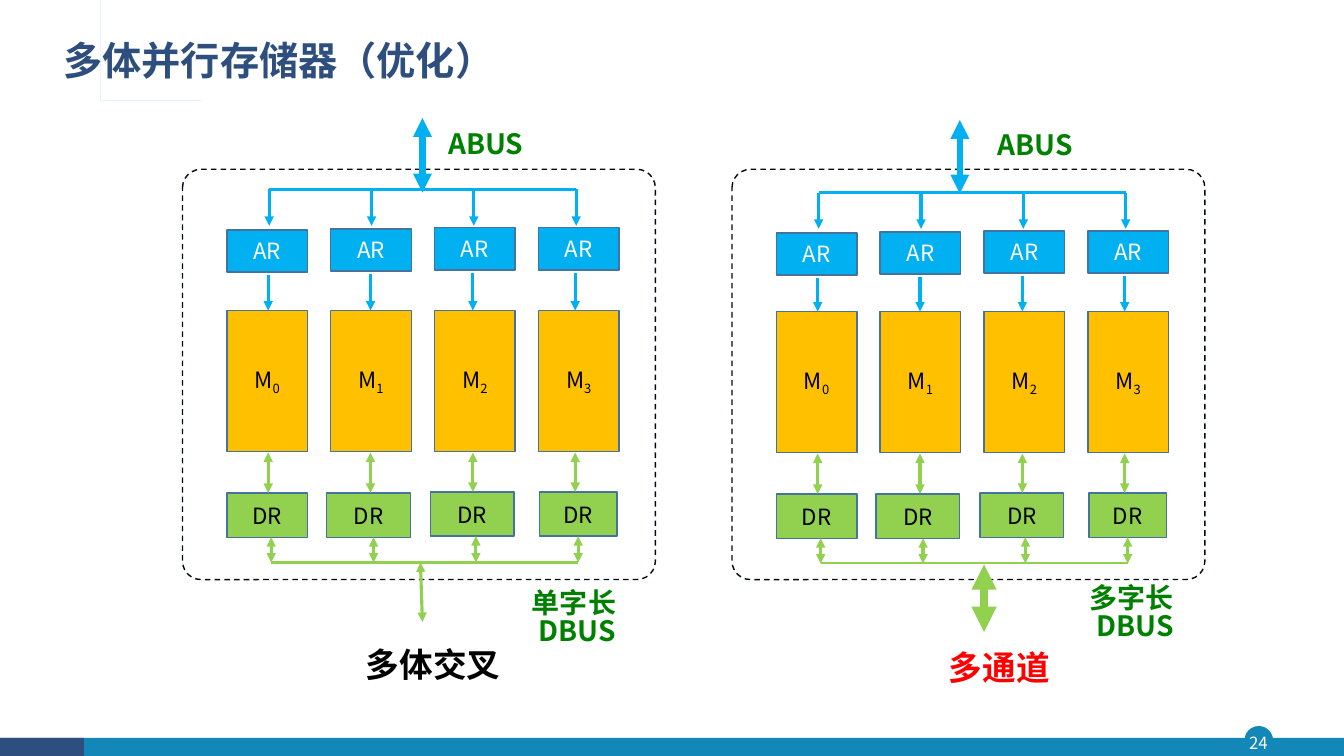
import pptx
import pptx.util
import pptx.dml.color
import pptx.enum.dml
import pptx.enum.shapes
import pptx.enum.text
import pptx.oxml
import pptx.oxml.ns
from dataclasses import dataclass

SHAPE = pptx.enum.shapes.MSO_SHAPE
ALIGN = pptx.enum.text.PP_ALIGN
MIDDLE = pptx.enum.text.MSO_ANCHOR.MIDDLE
TOP = pptx.enum.text.MSO_ANCHOR.TOP
qn = pptx.oxml.ns.qn


@dataclass(frozen=True)
class Theme:
    font: str = "Noto Sans CJK SC"
    navy: str = "2E4E7E"
    teal: str = "1387B7"
    accent: str = "28A9D6"
    address: str = "00B0F0"
    memory: str = "FFC000"
    data: str = "92D050"
    border: str = "43739E"
    frame: str = "000814"
    bus_name: str = "008000"
    highlight: str = "FF0000"
    black: str = "000000"
    white: str = "FFFFFF"
    title_size: int = 28
    caption_size: int = 24
    label_size: int = 20
    box_size: int = 16
    page_size: int = 12


THEME = Theme()
WIDTH, HEIGHT = 13.33, 7.5

# Grid of one memory diagram, measured from the left edge of its frame
BANKS = 4
FIRST_BOX, BOX_PITCH, BOX_WIDTH = 0.44, 1.03, 0.8
LANE_PITCH = 1.015
ADDRESS_LANE, MEMORY_LANE, DATA_LANE = 0.86, 0.85, 0.88
FRAME_TOP, ADDRESS_BUS, AR_TOP, MEMORY_TOP, DR_TOP, DATA_BUS = (
    1.68, 1.88, 2.28, 3.08, 4.89, 5.58)
AR_HEIGHT, MEMORY_HEIGHT, DR_HEIGHT = 0.42, 1.4, 0.44
AR_LIFTS = (0, 0.01, 0.02, 0.02)
DR_COLUMNS = ((0.44, 0.8, 0), (1.43, 0.83, 0), (2.46, 0.83, 0.01), (3.54, 0.77, 0.01))


def inches(*lengths):
    return [pptx.util.Inches(length) for length in lengths]


def rgb(color):
    return pptx.dml.color.RGBColor.from_string(color)


def apply(target, formats):
    for name, value in formats.items():
        setattr(target, name, value)


def write(frame, text, size, color, bold=False, align=ALIGN.CENTER,
          anchor=MIDDLE, spacing=None, subscript=""):
    """Put one paragraph, with an optional subscript, in a text frame."""
    frame.vertical_anchor = anchor
    paragraph = frame.paragraphs[0]
    paragraph.text = text
    apply(paragraph, {"alignment": align, "line_spacing": spacing})
    if subscript:
        run = paragraph.add_run()
        run.text = subscript
        run.font._element.set("baseline", "-25000")
    for run in paragraph.runs:
        apply(run.font, {"size": pptx.util.Pt(size), "bold": bold, "name": THEME.font})
        run.font.color.rgb = rgb(color)
        east_asian = pptx.oxml.parse_xml(
            '<a:ea xmlns:a="http://schemas.openxmlformats.org/drawingml/2006/main"'
            f' typeface="{THEME.font}"/>')
        run.font._element.find(qn("a:latin")).addnext(east_asian)


def add_box(slide, kind, place, fill, border=None):
    box = slide.shapes.add_shape(kind, *inches(*place))
    box.shadow.inherit = False
    box.fill.solid()
    box.fill.fore_color.rgb = rgb(fill)
    if border:
        box.line.color.rgb = rgb(border)
        box.line.width = pptx.util.Pt(1)
    else:
        box.line.fill.background()
    return box


def add_register(slide, place, fill, text, color, subscript=""):
    box = add_box(slide, SHAPE.RECTANGLE, place, fill, THEME.border)
    write(box.text_frame, text, THEME.box_size, color, subscript=subscript)


def add_wire(slide, start, end, color, width=2.25, heads=()):
    wire = slide.shapes.add_connector(
        pptx.enum.shapes.MSO_CONNECTOR.STRAIGHT, *inches(*start, *end))
    wire.line.color.rgb = rgb(color)
    wire.line.width = pptx.util.Pt(width)
    outline = wire.line._get_or_add_ln()
    for head in heads:
        outline.append(outline.makeelement(qn(f"a:{head}"), {"type": "triangle"}))
    outline.addnext(outline.makeelement(qn("a:effectLst"), {}))


ONE_WAY = ("tailEnd",)
TWO_WAY = ("headEnd", "tailEnd")


def add_label(slide, place, text, size, color):
    label = slide.shapes.add_textbox(*inches(*place)).text_frame
    apply(label, {"word_wrap": False, "margin_top": 0, "margin_bottom": 0})
    write(label, text, size, color, True, ALIGN.RIGHT, TOP, 0.83)


def add_template(slide, title, page):
    # Footer band and page number
    band = 0.18
    add_box(slide, SHAPE.OVAL, (12.35, 7.21, 0.27, 0.27), THEME.teal, THEME.teal)
    add_box(slide, SHAPE.RECTANGLE, (0, HEIGHT - band, WIDTH, band), THEME.teal)
    add_box(slide, SHAPE.RECTANGLE, (0, HEIGHT - band, WIDTH / 16, band), THEME.navy)
    number = slide.shapes.add_textbox(*inches(12.32, 7.21, 0.32, 0.31)).text_frame
    apply(number, dict.fromkeys(
        ("margin_left", "margin_right", "margin_top", "margin_bottom"), 0))
    write(number, page, THEME.page_size, THEME.white)

    # Title ornament
    outline = ((0.54, 0.39), (0.54, 0.85), (1.87, 0.85), (1.87, 0.87), (0.52, 0.87),
               (0.52, 0.41), (0.47, 0.41), (0.47, 0.87), (0.36, 0.87), (0.36, 0.39),
               (0.39, 0.39), (0.39, 0.84), (0.44, 0.84), (0.44, 0.39))
    builder = slide.shapes.build_freeform(*outline[0], scale=pptx.util.Inches(1))
    builder.add_line_segments(outline[1:], close=True)
    ornament = builder.convert_to_shape()
    ornament.shadow.inherit = False
    ornament.fill.solid()
    ornament.fill.fore_color.rgb = rgb(THEME.accent)
    ornament.line.fill.background()

    # Title
    heading = slide.shapes.title
    apply(heading, dict(zip(("left", "top", "width", "height"),
                            inches(0.53, 0.28, 11.5, 0.68))))
    write(heading.text_frame, title, THEME.title_size, THEME.navy, True,
          ALIGN.LEFT, spacing=0.9)


def add_memory(slide, left, drop, address_drop):
    """Draw the frame, the four banks and their two buses."""
    frame = add_box(slide, SHAPE.ROUNDED_RECTANGLE, (left, FRAME_TOP, 4.69, 4.07),
                    THEME.white, THEME.frame)
    frame.adjustments[0] = 0.045
    frame.line.dash_style = pptx.enum.dml.MSO_LINE.DASH

    address_bus, data_bus = ADDRESS_BUS + address_drop, DATA_BUS + drop
    memory_top = MEMORY_TOP + drop
    memory_bottom = memory_top + MEMORY_HEIGHT
    span = (BANKS - 1) * LANE_PITCH
    for lane, level, color, width in ((ADDRESS_LANE, address_bus, THEME.address, 2.25),
                                      (DATA_LANE, data_bus, THEME.data, 1.5)):
        add_wire(slide, (left + lane, level), (left + lane + span, level), color, width)

    for bank in range(BANKS):
        # Registers and memory body
        box_left = left + FIRST_BOX + bank * BOX_PITCH
        ar_top = AR_TOP + address_drop - AR_LIFTS[bank]
        dr_left, dr_width, dr_lift = DR_COLUMNS[bank]
        dr_top = DR_TOP + drop - dr_lift
        add_register(slide, (box_left, ar_top, BOX_WIDTH, AR_HEIGHT),
                     THEME.address, "AR", THEME.white)
        add_register(slide, (box_left, memory_top, BOX_WIDTH, MEMORY_HEIGHT),
                     THEME.memory, "M", THEME.black, str(bank))
        add_register(slide, (left + dr_left, dr_top, dr_width, DR_HEIGHT),
                     THEME.data, "DR", THEME.black)

        # Arrows between the levels
        address_x, memory_x, data_x = (
            left + lane + bank * LANE_PITCH
            for lane in (ADDRESS_LANE, MEMORY_LANE, DATA_LANE))
        for x, top, bottom, color, heads in (
                (address_x, address_bus, address_bus + 0.36, THEME.address, ONE_WAY),
                (memory_x, ar_top + AR_HEIGHT + 0.03, memory_top, THEME.address, ONE_WAY),
                (memory_x, memory_bottom + 0.01, dr_top, THEME.data, TWO_WAY),
                (data_x, dr_top + DR_HEIGHT, data_bus, THEME.data, TWO_WAY)):
            add_wire(slide, (x, top), (x, bottom), color, heads=heads)


def main():
    deck = pptx.Presentation()
    deck.slide_width, deck.slide_height = inches(WIDTH, HEIGHT)
    slide = deck.slides.add_slide(deck.slide_layouts[5])
    add_template(slide, "多体并行存储器（优化）", "24")

    # Interleaved banks: one word on the data bus
    add_memory(slide, 1.81, 0, 0)
    add_wire(slide, (4.19, 1.17), (4.19, 1.91), THEME.address, 4.5, TWO_WAY)
    add_wire(slide, (4.17, 5.58), (4.19, 6.17), THEME.data, 2.25, TWO_WAY)
    add_label(slide, (4.3, 1.31, 0.99, 0.34), "ABUS", THEME.label_size, THEME.bus_name)
    add_label(slide, (4.28, 5.87, 1.93, 0.67), "单字长\vDBUS", THEME.label_size, THEME.bus_name)
    add_label(slide, (3.51, 6.46, 1.55, 0.4), "多体交叉", THEME.caption_size, THEME.black)

    # Multiple channels: several words on the data bus
    add_memory(slide, 7.26, 0.01, 0.03)
    add_wire(slide, (9.52, 1.19), (9.52, 1.92), THEME.address, 4.5, TWO_WAY)
    add_wire(slide, (9.76, 5.6), (9.76, 6.27), THEME.data, 6, TWO_WAY)
    add_label(slide, (9.75, 1.32, 0.99, 0.34), "ABUS", THEME.label_size, THEME.bus_name)
    add_label(slide, (9.9, 5.82, 1.84, 0.67), "多字长\vDBUS", THEME.label_size, THEME.bus_name)
    add_label(slide, (9.3, 6.49, 1.21, 0.4), "多通道", THEME.caption_size, THEME.highlight)

    deck.save("out.pptx")


if __name__ == "__main__":
    main()
